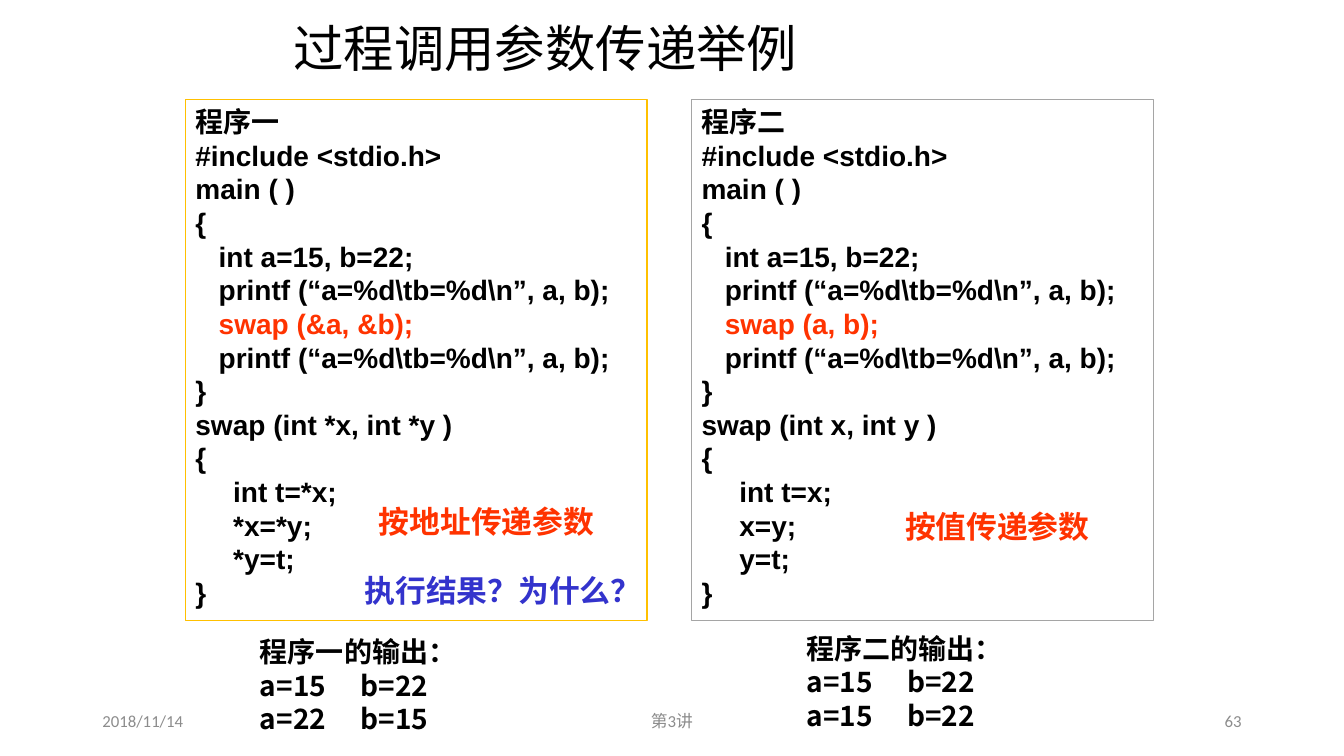
from dataclasses import dataclass

from lxml.etree import SubElement
from pptx import Presentation
from pptx.dml.color import RGBColor
from pptx.enum.shapes import MSO_SHAPE as Preset
from pptx.enum.text import MSO_ANCHOR as Anchor, PP_ALIGN as Align
from pptx.oxml.ns import qn
from pptx.shapes.autoshape import Shape
from pptx.slide import Slide
from pptx.text.text import TextFrame, _Paragraph as Paragraph
from pptx.util import Pt

BLACK = RGBColor(0x00, 0x00, 0x00)
WHITE = RGBColor(0xFF, 0xFF, 0xFF)
GRAY = RGBColor(0x8C, 0x8C, 0x8C)
RED = RGBColor(0xFF, 0x33, 0x00)
BLUE = RGBColor(0x33, 0x33, 0xCC)
GOLD = RGBColor(0xFF, 0xC0, 0x00)
SILVER = RGBColor(0xA5, 0xA5, 0xA5)

CJK = "Noto Sans CJK SC"
CODE_FONT = "Arial"
PLAIN_FONT = "Calibri"
HANGING = Pt(27)
PANEL_TOP, PANEL_WIDTH, PANEL_HEIGHT = 71.3, 329.8, 372.2
PRINTF = r"   printf (“a=%d\tb=%d\n”, a, b);"


@dataclass
class Program:
    name: str
    left: float
    border: RGBColor
    call: str
    signature: str
    swap_lines: tuple[str, ...]


@dataclass
class Output:
    heading: str
    left: float
    top: float
    width: float
    height: float
    values: tuple[tuple[int, int], ...]


@dataclass
class Callout:
    text: str
    left: float
    top: float
    width: float
    color: RGBColor
    wrap: bool = False


@dataclass
class FooterItem:
    text: str
    left: float
    width: float
    align: Align


PROGRAMS = (
    Program("程序一", 132.5, GOLD, "swap (&a, &b);", "swap (int *x, int *y )",
            ("int t=*x;", "*x=*y;", "*y=t;")),
    Program("程序二", 494, SILVER, "swap (a, b);", "swap (int x, int y )",
            ("int t=x;", "x=y;", "y=t;")),
)
OUTPUTS = (
    Output("程序一的输出：", 178.6, 453.2, 184.3, 68.4, ((15, 22), (22, 15))),
    Output("程序二的输出：", 569, 450.9, 174.2, 70.6, ((15, 22), (15, 22))),
)
CALLOUTS = (
    Callout("按地址传递参数", 263.5, 355.2, 168.5, RED),
    Callout("按值传递参数", 639.4, 358.8, 146.2, RED),
    Callout("执行结果？为什么？", 253.4, 404.8, 212.4, BLUE, wrap=True),
)
FOOTER = (
    FooterItem("2018/11/14", 66, 216, Align.LEFT),
    FooterItem("第3讲", 318, 324, Align.CENTER),
    FooterItem("63", 678, 216, Align.RIGHT),
)


def add_span(para: Paragraph, text: str, size: float, color: RGBColor,
             latin: str = CJK, bold: bool = False) -> None:
    """Add one run with its Latin and East Asian fonts."""
    span = para.add_run()
    span.text = text
    font = span.font
    font.size, font.bold, font.name = Pt(size), bold, latin
    font.color.rgb = color
    SubElement(span._r.get_or_add_rPr(), qn("a:ea"), typeface=CJK)


def next_para(frame: TextFrame) -> Paragraph:
    """Return the empty first paragraph, or a new one after it."""
    first = frame.paragraphs[0]
    return frame.add_paragraph() if first.runs else first


def add_text_box(page: Slide, left: float, top: float, width: float,
                 height: float, wrap: bool = True) -> TextFrame:
    frame = page.shapes.add_textbox(Pt(left), Pt(top), Pt(width), Pt(height)).text_frame
    frame.word_wrap = wrap
    return frame


def add_white_panel(page: Slide, left: float, top: float, width: float,
                    height: float) -> Shape:
    box = page.shapes.add_shape(Preset.RECTANGLE, Pt(left), Pt(top), Pt(width), Pt(height))
    box.shadow.inherit = False
    box.fill.solid()
    box.fill.fore_color.rgb = WHITE
    box.text_frame.word_wrap = True
    box.text_frame.vertical_anchor = Anchor.TOP
    return box


def set_title(page: Slide, text: str) -> None:
    title = page.shapes.title
    title.left, title.top, title.width, title.height = Pt(202.3), Pt(7.9), Pt(602), Pt(56.9)
    title.text_frame.vertical_anchor = Anchor.MIDDLE
    para = title.text_frame.paragraphs[0]
    para.alignment = Align.LEFT
    para.line_spacing = 0.9
    add_span(para, text, 36, BLACK, PLAIN_FONT)


def add_program(page: Slide, program: Program) -> None:
    box = add_white_panel(page, program.left, PANEL_TOP, PANEL_WIDTH, PANEL_HEIGHT)
    box.line.color.rgb = program.border
    box.line.width = Pt(1)
    lines = (program.name, "#include <stdio.h>", "main ( )", "{",
             "   int a=15, b=22;", PRINTF, "   " + program.call, PRINTF, "}",
             program.signature, "{", *("\t" + line for line in program.swap_lines), "}")
    for line in lines:
        para = next_para(box.text_frame)
        para.alignment = Align.JUSTIFY
        para.line_spacing = Pt(24)
        properties = para._p.get_or_add_pPr()
        properties.set("marL", str(HANGING))
        properties.set("indent", str(-HANGING))
        color = RED if line.strip() == program.call else BLACK
        add_span(para, line, 20, color, CODE_FONT, bold=True)


def add_output(page: Slide, output: Output) -> None:
    box = add_white_panel(page, output.left, output.top, output.width, output.height)
    box.line.fill.background()
    frame = box.text_frame
    frame.margin_top = frame.margin_bottom = Pt(0)
    for line in (output.heading, *(f"a={a}\tb={b}" for a, b in output.values)):
        para = next_para(frame)
        para.alignment = Align.JUSTIFY
        para.line_spacing = Pt(24)
        add_span(para, line, 20, BLACK, bold=True)


def add_callout(page: Slide, callout: Callout) -> None:
    frame = add_text_box(page, callout.left, callout.top, callout.width, 33.8, callout.wrap)
    para = frame.paragraphs[0]
    para.line_spacing = Pt(26.4)
    add_span(para, callout.text, 22, callout.color, bold=True)


def add_footer_item(page: Slide, item: FooterItem) -> None:
    frame = add_text_box(page, item.left, 500.4, item.width, 28.8)
    frame.vertical_anchor = Anchor.MIDDLE
    para = frame.paragraphs[0]
    para.alignment = item.align
    add_span(para, item.text, 12, GRAY, PLAIN_FONT)


def main() -> None:
    deck = Presentation()
    deck.slide_width, deck.slide_height = Pt(960), Pt(540)
    page = deck.slides.add_slide(deck.slide_layouts.get_by_name("Title Only"))
    set_title(page, "过程调用参数传递举例")
    for output in OUTPUTS:
        add_output(page, output)
    for item in FOOTER:
        add_footer_item(page, item)
    for program in PROGRAMS:
        add_program(page, program)
    for callout in CALLOUTS:
        add_callout(page, callout)
    deck.save("out.pptx")


if __name__ == "__main__":
    main()
